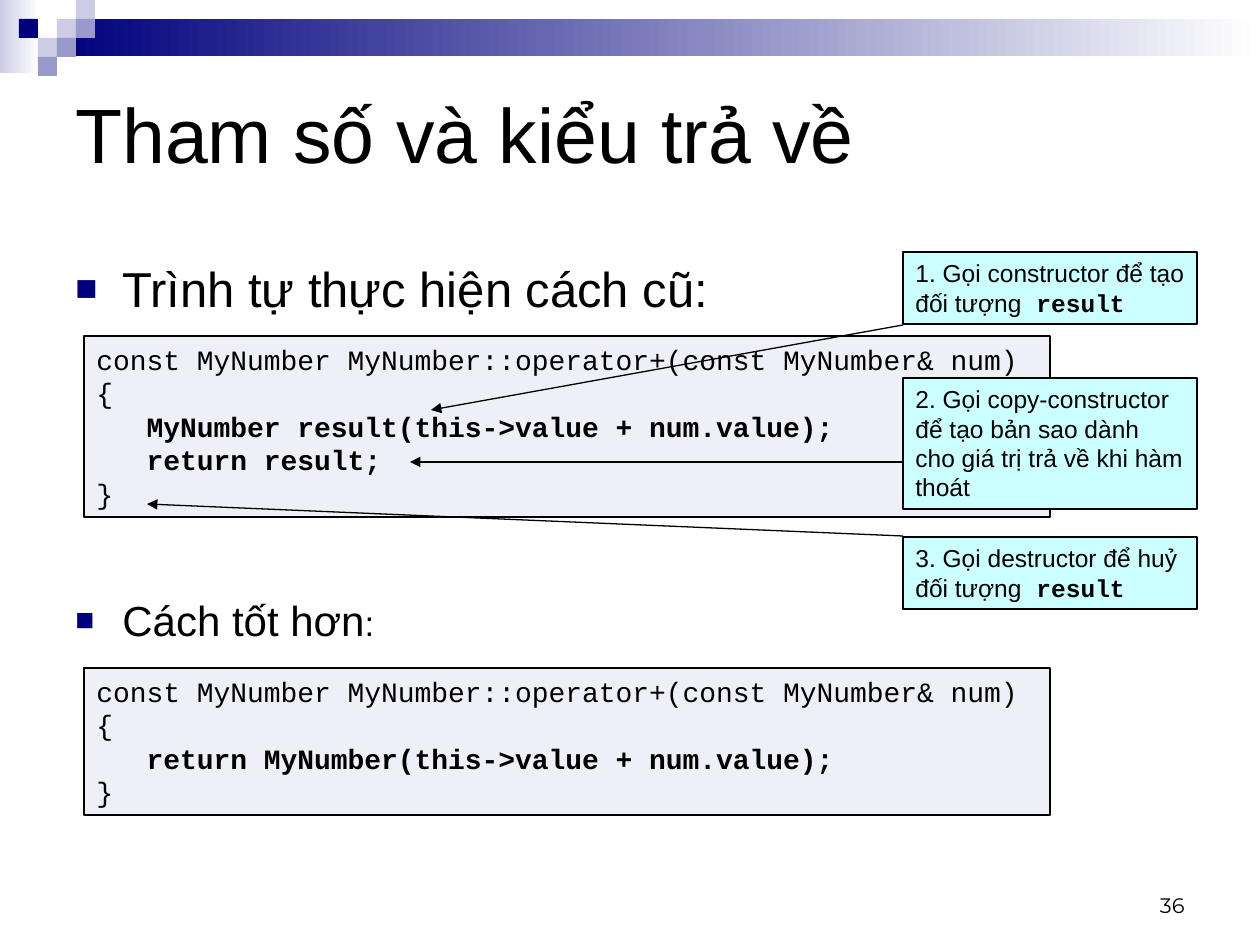
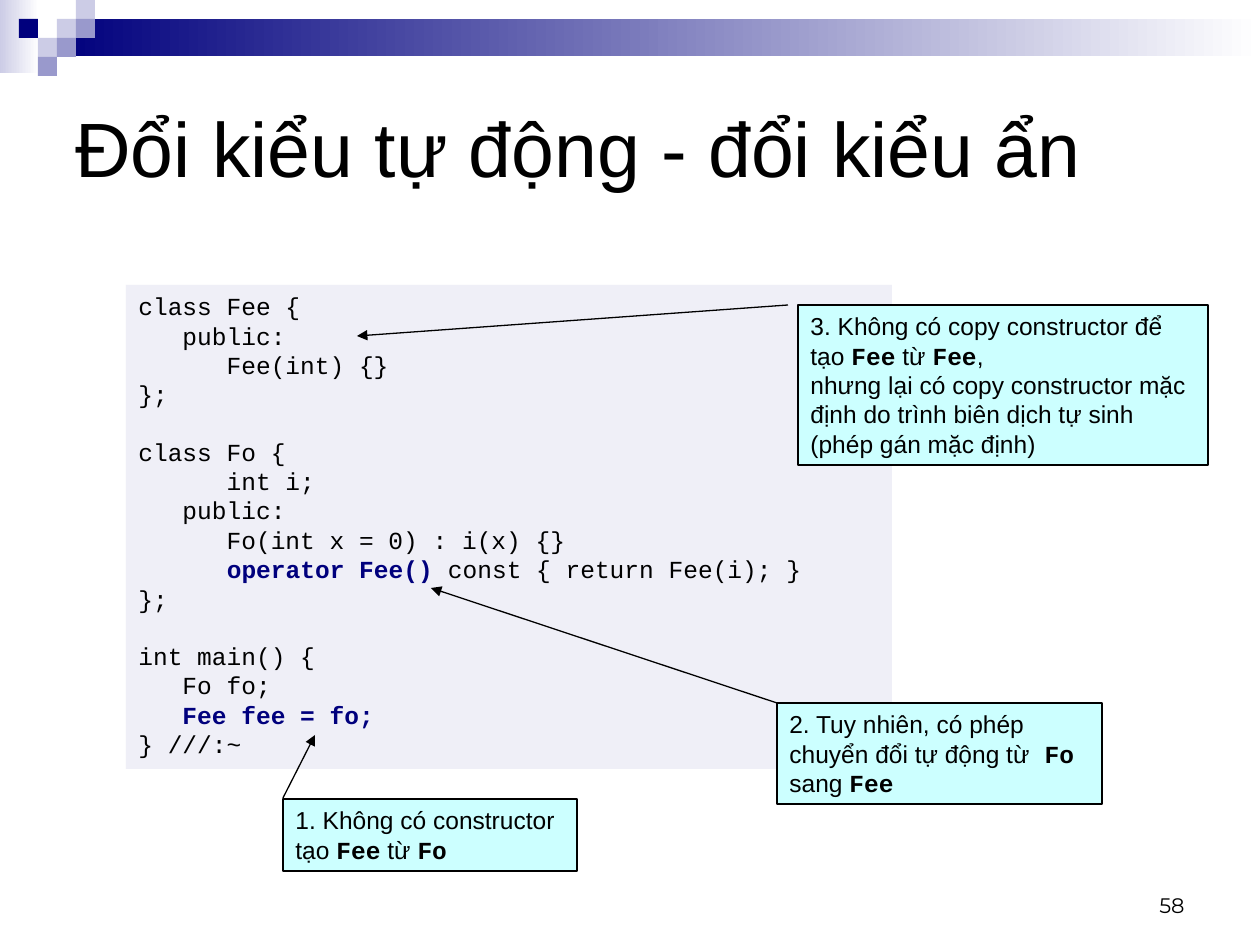
from lxml import etree
from pptx import Presentation
from pptx import util as u
from pptx.dml.color import RGBColor
from pptx.enum import shapes, text
from pptx.oxml.ns import qn

SCALE = 914400 / 126
COLOURS = {"navy": "00007D", "mid": "9999CC", "light": "CCCCE6", "white": "FFFFFF",
           "black": "000000", "code": "EFEFF7", "callout": "CCFFFF"}
FADES = [((0, 0, 39, 73), "light"), ((57, 19, 1203, 37), "navy")]
CELL = 19
SQUARES = [(3, 1, "light"), (4, 0, "light"), (4, 1, "mid"), (2, 2, "light"),
           (1, 1, "navy"), (3, 2, "mid"), (2, 3, "mid")]
NUMBER_BOX = (903, 861, 294, 63)

TITLE = {"name": "Arial", "size": 44}
NUMBER = {"name": "Montserrat", "size": 12}
NOTE = {"name": "Arial", "size": 14}
MONO = {"name": "Courier New", "bold": True}
BOLD = {"bold": True}
KEYWORD = {"bold": True, "colour": "navy"}
SMALL = {"size": 20}

SIGNATURE = "const MyNumber MyNumber::operator+(const MyNumber& num)"

SLIDES = [
    {
        "title": "Tham số và kiểu trả về", "title_height": 140, "number": "36",
        "bullets": [
            {"box": (63, 252, 1134, 126), "size": 28, "runs": ["Trình tự thực hiện cách cũ:"]},
            {"box": (63, 588, 1134, 73), "size": 24, "runs": ["Cách tốt hơn", (":", SMALL)]},
        ],
        "code": [
            {"box": (84, 336, 966, 181), "size": 16, "border": "black", "lines": [
                [SIGNATURE],
                ["{"],
                ["   ", ("MyNumber result(this->value + num.value);", BOLD)],
                [("   return result;", BOLD)],
                ["}"],
            ]},
            {"box": (84, 668, 966, 147), "size": 16, "border": "black", "lines": [
                [SIGNATURE],
                ["{"],
                [("   return MyNumber(this->value + num.value);", BOLD)],
                ["}"],
            ]},
        ],
        "callouts": [
            {"box": (903, 252, 294, 72), "arrow": (903, 325, 431, 410), "lines": [
                ["1. Gọi constructor để tạo đối tượng", (" result", MONO)]]},
            {"box": (903, 378, 294, 131), "arrow": (903, 462, 410, 462), "lines": [
                ["2. Gọi copy-constructor để tạo bản sao dành cho giá trị trả về khi hàm thoát"]]},
            {"box": (903, 537, 294, 72), "arrow": (903, 536, 147, 504), "lines": [
                ["3. Gọi destructor để huỷ đối tượng", (" result", MONO)]]},
        ],
    },
    {
        "title": "Đổi kiểu tự động - đổi kiểu ẩn", "title_height": 168, "number": "58",
        "bullets": [],
        "code": [
            {"box": (126, 285, 766, 484), "size": 14, "border": None, "lines": [
                ["class Fee {"],
                ["   public:"],
                ["      Fee(int) {}"],
                ["};"],
                [],
                ["class Fo {"],
                ["      int i;"],
                ["   public:"],
                ["      Fo(int x = 0) : i(x) {}"],
                ["      ", ("operator Fee()", KEYWORD), " const { return Fee(i); }"],
                ["};"],
                [],
                ["int main() {"],
                ["   Fo fo;"],
                [("   Fee fee = fo;", KEYWORD)],
                ["} ///:~"],
            ]},
        ],
        "callouts": [
            {"box": (777, 703, 325, 101), "arrow": (777, 703, 431, 588), "lines": [
                ["2. Tuy nhiên, có phép chuyển đổi tự động từ", (" Fo ", MONO),
                 "sang ", ("Fee", MONO)]]},
            {"box": (283, 799, 294, 72), "arrow": (283, 798, 315, 735), "lines": [
                ["1. Không có constructor tạo ", ("Fee", MONO), " từ ", ("Fo", MONO)]]},
            {"box": (798, 305, 410, 160), "arrow": (788, 305, 357, 336), "lines": [
                ["3. Không có copy constructor để tạo ", ("Fee", MONO), " từ ",
                 ("Fee", MONO), ","],
                ["nhưng lại có copy constructor mặc định do trình biên dịch tự sinh "
                 "(phép gán mặc định)"]]},
        ],
    },
]


def emu(lengths):
    return [u.Emu(round(length * SCALE)) for length in lengths]


def rgb(colour):
    return RGBColor.from_string(COLOURS[colour])


def format_font(font, values):
    font.color.rgb = rgb(values.get("colour", "black"))
    for name, value in values.items():
        if name != "colour":
            setattr(font, name, u.Pt(value) if name == "size" else value)


def write(shape, lines, base, anchor=text.MSO_ANCHOR.TOP, align=text.PP_ALIGN.LEFT):
    frame = shape.text_frame
    frame.word_wrap = True
    frame.vertical_anchor = anchor
    paragraph, gap = None, 0
    for line in lines:
        if not line:
            gap += base["size"] * 1.13
            continue
        paragraph = frame.add_paragraph() if paragraph else frame.paragraphs[0]
        paragraph.alignment = align
        if gap:
            paragraph.space_before, gap = u.Pt(gap), 0
        for part in line:
            content, style = (part, {}) if isinstance(part, str) else part
            run = paragraph.add_run()
            run.text = content
            format_font(run.font, {**base, **style})


def add_text(slide, box, lines, base, **layout):
    shape = slide.shapes.add_textbox(*emu(box))
    write(shape, lines, base, **layout)
    return shape


def add_rectangle(slide, box, fill, border=None):
    shape = slide.shapes.add_shape(shapes.MSO_SHAPE.RECTANGLE, *emu(box))
    shape.shadow.inherit = False
    shape.fill.solid()
    shape.fill.fore_color.rgb = rgb(fill)
    if border:
        shape.line.color.rgb = rgb(border)
        shape.line.width = u.Pt(0.75)
    else:
        shape.line.fill.background()
    return shape


def add_band(slide):
    for box, colour in FADES:
        fill = add_rectangle(slide, box, colour).fill
        fill.gradient()
        fill.gradient_angle = 0
        for stop, shade in zip(fill.gradient_stops, (colour, "white")):
            stop.color.rgb = rgb(shade)
    for column, row, colour in SQUARES:
        add_rectangle(slide, (column * CELL, row * CELL, CELL, CELL), colour)


def add_bullet(slide, bullet):
    shape = add_text(slide, bullet["box"], [bullet["runs"]],
                     {"name": "Arial", "size": bullet["size"]})
    properties = shape.text_frame.paragraphs[0]._p.get_or_add_pPr()
    indent = emu([47])[0]
    properties.set("marL", str(indent))
    properties.set("indent", str(-indent))
    colour = etree.SubElement(properties, qn("a:buClr"))
    etree.SubElement(colour, qn("a:srgbClr"), val=COLOURS["navy"])
    etree.SubElement(properties, qn("a:buSzPct"), val="75000")
    etree.SubElement(properties, qn("a:buFont"), typeface="Arial")
    etree.SubElement(properties, qn("a:buChar"), char="■")


def add_arrow(slide, ends):
    arrow = slide.shapes.add_connector(shapes.MSO_CONNECTOR.STRAIGHT, *emu(ends))
    arrow.line.color.rgb = rgb("black")
    arrow.line.width = u.Pt(0.75)
    etree.SubElement(arrow.line._get_or_add_ln(), qn("a:tailEnd"), type="triangle")
    etree.SubElement(arrow._element.spPr, qn("a:effectLst"))


def build_slide(presentation, content):
    slide = presentation.slides.add_slide(presentation.slide_layouts[6])
    add_band(slide)
    add_text(slide, NUMBER_BOX, [[content["number"]]], NUMBER,
             anchor=text.MSO_ANCHOR.BOTTOM, align=text.PP_ALIGN.RIGHT)
    add_text(slide, (63, 63, 1134, content["title_height"]), [[content["title"]]], TITLE,
             anchor=text.MSO_ANCHOR.MIDDLE)
    for bullet in content["bullets"]:
        add_bullet(slide, bullet)
    for code in content["code"]:
        shape = add_rectangle(slide, code["box"], "code", code["border"])
        write(shape, code["lines"], {"name": "Courier New", "size": code["size"]})
    for callout in content["callouts"]:
        shape = add_rectangle(slide, callout["box"], "callout", "black")
        write(shape, callout["lines"], NOTE)
        add_arrow(slide, callout["arrow"])


def main():
    presentation = Presentation()
    presentation.slide_width, presentation.slide_height = emu((1260, 945))
    for content in SLIDES:
        build_slide(presentation, content)
    presentation.save("out.pptx")


if __name__ == "__main__":
    main()
